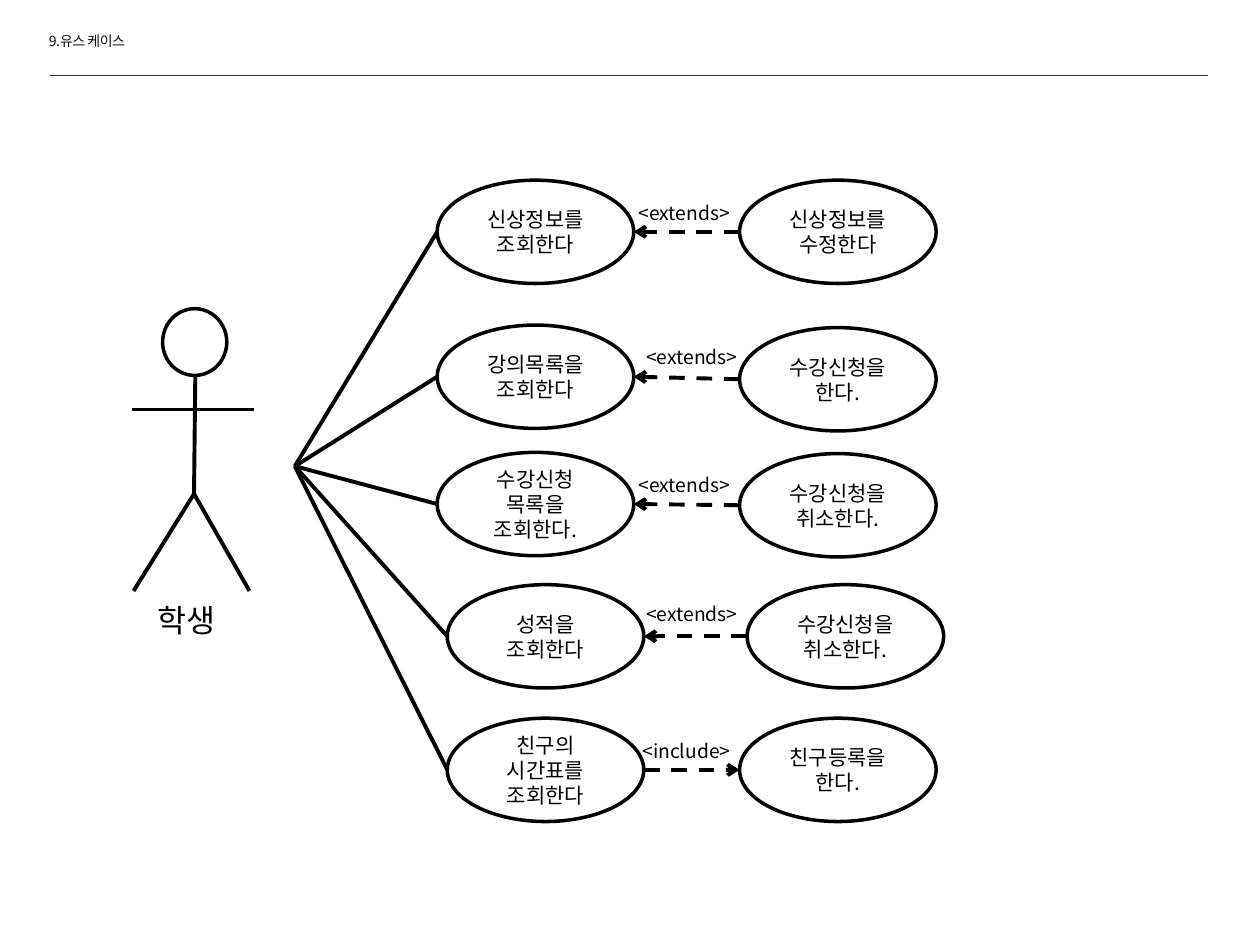
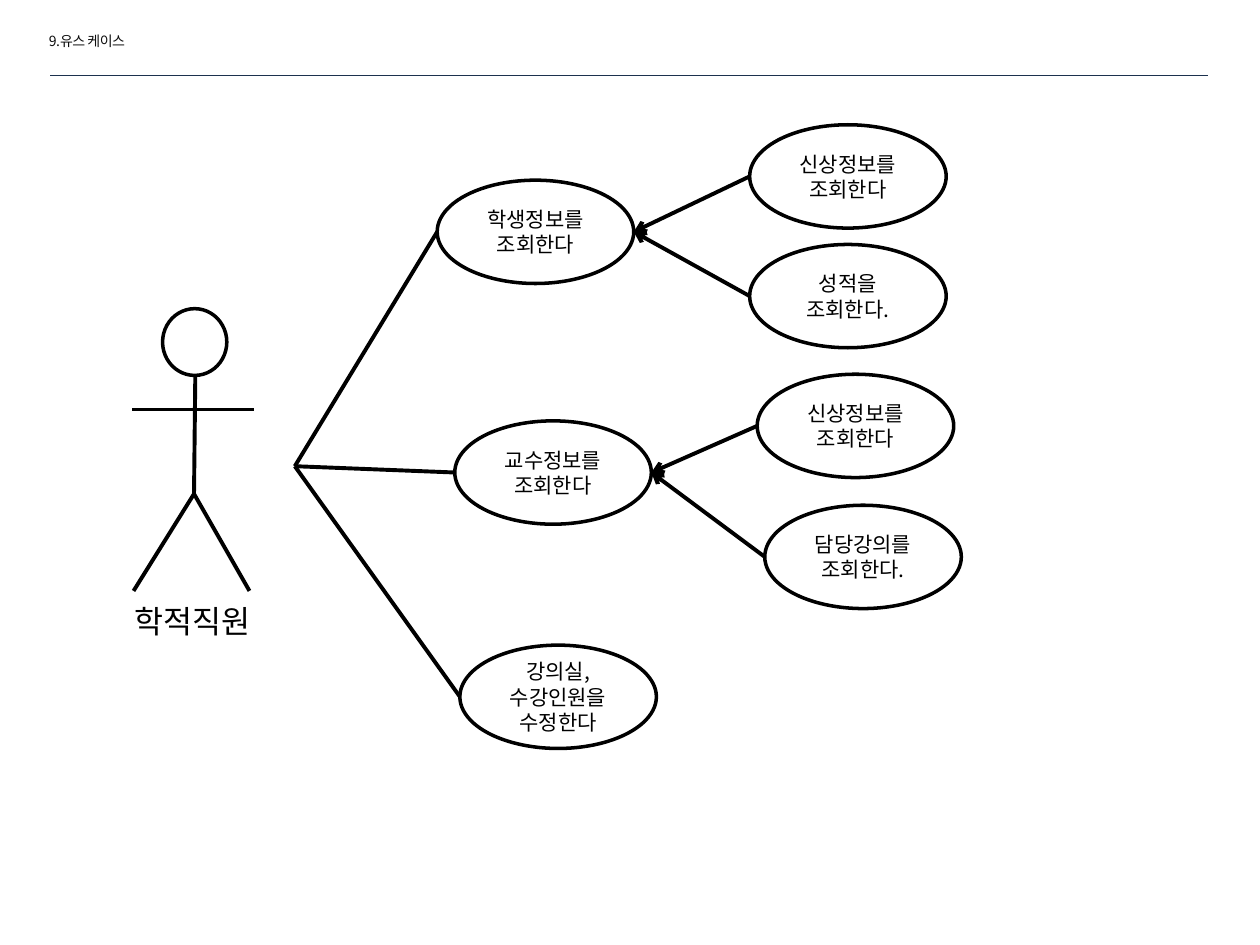
import pptx
import pptx.dml.color
import pptx.enum.dml
import pptx.enum.shapes
import pptx.enum.text
import pptx.oxml
import pptx.oxml.ns
import pptx.util

FONT = "Noto Sans CJK KR"
BLACK, WHITE, TITLE_INK, RULE_INK = "000000", "FFFFFF", "0D0D0D", "1C314E"
TITLE = "9.유스 케이스"
COLUMNS, ROWS = 10, 7.5  # the page grid, in one-inch cells
CASE_WIDTH, CASE_HEIGHT = 1.56, 0.82
HUB = (2.34, 3.7)  # where the actor's lines start


def cells(count):
    return pptx.util.Inches(count)


def color(hex_string):
    return pptx.dml.color.RGBColor.from_string(hex_string)


def write(frame, text, size=12, ink=BLACK, align=None, spacing=None):
    """Write one paragraph per line of text."""
    frame.word_wrap = True
    for index, line in enumerate(text.split("\n")):
        para = frame.paragraphs[0] if index == 0 else frame.add_paragraph()
        para.alignment = align
        span = para.add_run()
        span.text = line
        span.font.size = pptx.util.Pt(size)
        span.font.name = FONT
        span.font.color.rgb = color(ink)
        properties = span.font._element
        east_asian = pptx.oxml.parse_xml(
            f'<a:ea {pptx.oxml.ns.nsdecls("a")} typeface="{FONT}"/>')
        properties.append(east_asian)
        if spacing is not None:
            properties.set("spc", str(spacing))


def add_text(page, left, top, width, height, text, **style):
    box = page.shapes.add_textbox(*map(cells, (left, top, width, height)))
    box.text_frame.auto_size = pptx.enum.text.MSO_AUTO_SIZE.SHAPE_TO_FIT_TEXT
    write(box.text_frame, text, **style)


def add_ellipse(shapes, left, top, width, height, fill=None):
    ellipse = shapes.add_shape(pptx.enum.shapes.MSO_SHAPE.OVAL,
                               *map(cells, (left, top, width, height)))
    ellipse.shadow.inherit = False
    if fill:
        ellipse.fill.solid()
        ellipse.fill.fore_color.rgb = color(fill)
    else:
        ellipse.fill.background()
    ellipse.line.color.rgb = color(BLACK)
    ellipse.line.width = pptx.util.Pt(2)
    return ellipse


def add_line(shapes, start, end, ink=BLACK, weight=2.25, dashed=False, arrow=False):
    line = shapes.add_connector(pptx.enum.shapes.MSO_CONNECTOR.STRAIGHT,
                                *map(cells, (*start, *end)))
    line.line.color.rgb = color(ink)
    line.line.width = pptx.util.Pt(weight)
    if dashed:
        line.line.dash_style = pptx.enum.dml.MSO_LINE.DASH
    namespace = pptx.oxml.ns.nsdecls("a")
    if arrow:
        line.line._get_or_add_ln().append(
            pptx.oxml.parse_xml(f'<a:tailEnd {namespace} type="arrow"/>'))
    line._element.spPr.append(pptx.oxml.parse_xml(f"<a:effectLst {namespace}/>"))


def add_case(page, left, top, text):
    """Draw a use case and return the middles of its left and right edges."""
    ellipse = add_ellipse(page.shapes, left, top, CASE_WIDTH, CASE_HEIGHT)
    frame = ellipse.text_frame
    frame.margin_left = frame.margin_right = cells(0.06)
    frame.margin_top = frame.margin_bottom = cells(0.05)
    frame.vertical_anchor = pptx.enum.text.MSO_ANCHOR.MIDDLE
    write(frame, text, align=pptx.enum.text.PP_ALIGN.CENTER)
    middle = top + CASE_HEIGHT / 2
    return (left, middle), (left + CASE_WIDTH, middle)


def add_actor(page, name, left, top, width):
    figure = page.shapes.add_group_shape().shapes
    add_ellipse(figure, 1.29, 2.45, 0.51, 0.53, fill=WHITE)
    neck, hip = (1.55, 2.98), (1.54, 3.92)
    limbs = [((1.05, 3.25), (2.02, 3.25)), (neck, hip),
             (hip, (1.06, 4.69)), (hip, (1.98, 4.69))]
    for start, end in limbs:
        add_line(figure, start, end)
    add_text(page, left, top, width, 0.4, name, size=18)


def add_page(deck):
    page = deck.slides.add_slide(deck.slide_layouts[6])
    add_text(page, 0.29, 0.21, 1.73, 0.24, TITLE, size=8, ink=TITLE_INK, spacing=-30)
    add_line(page.shapes, (0.4, 0.6), (9.59, 0.6), ink=RULE_INK, weight=0.25)
    return page


def student_page(deck):
    page = add_page(deck)
    add_actor(page, "학생", 1.15, 4.72, 0.75)
    # Main case, related case, label place and text
    relations = [
        ((3.47, 1.43, "신상정보를 조회한다"), (5.87, 1.43, "신상정보를 수정한다"),
         (4.97, 1.55), "<extends>"),
        ((3.47, 2.58, "강의목록을\n조회한다"), (5.87, 2.6, "수강신청을\n한다."),
         (5.03, 2.69), "<extends>"),
        ((3.47, 3.59, "수강신청\n목록을 조회한다."), (5.87, 3.6, "수강신청을\n취소한다."),
         (4.97, 3.71), "<extends>"),
        ((3.55, 4.64, "성적을\n조회한다"), (5.93, 4.64, "수강신청을\n취소한다."),
         (5.03, 4.73), "<extends>"),
        ((3.55, 5.7, "친구의\n시간표를\n조회한다"), (5.87, 5.7, "친구등록을 한다."),
         (5, 5.82), "<include>"),
    ]
    for main_case, related_case, label_place, label in relations:
        main_left, main_right = add_case(page, *main_case)
        related_left, _ = add_case(page, *related_case)
        add_line(page.shapes, HUB, main_left)
        ends = (related_left, main_right)
        if label == "<include>":
            ends = ends[::-1]
        add_line(page.shapes, *ends, dashed=True, arrow=True)
        add_text(page, *label_place, 1.04, 0.29, label, size=11)


def registrar_page(deck):
    page = add_page(deck)
    add_actor(page, "학적직원", 0.97, 4.73, 1.36)
    # Each main case with the cases that point to it
    branches = [
        ((3.47, 1.43, "학생정보를\n조회한다"),
         [(5.95, 0.99, "신상정보를 조회한다"), (5.95, 1.94, "성적을\n조회한다.")]),
        ((3.61, 3.34, "교수정보를\n조회한다"),
         [(6.01, 2.97, "신상정보를\n조회한다"), (6.07, 4.01, "담당강의를\n조회한다.")]),
        ((3.65, 5.12, "강의실,\n수강인원을\n수정한다"), []),
    ]
    for main_case, details in branches:
        main_left, main_right = add_case(page, *main_case)
        add_line(page.shapes, HUB, main_left)
        for detail in details:
            detail_left, _ = add_case(page, *detail)
            add_line(page.shapes, detail_left, main_right, arrow=True)


def main():
    deck = pptx.Presentation()
    deck.slide_width, deck.slide_height = cells(COLUMNS), cells(ROWS)
    student_page(deck)
    registrar_page(deck)
    deck.save("out.pptx")


if __name__ == "__main__":
    main()
